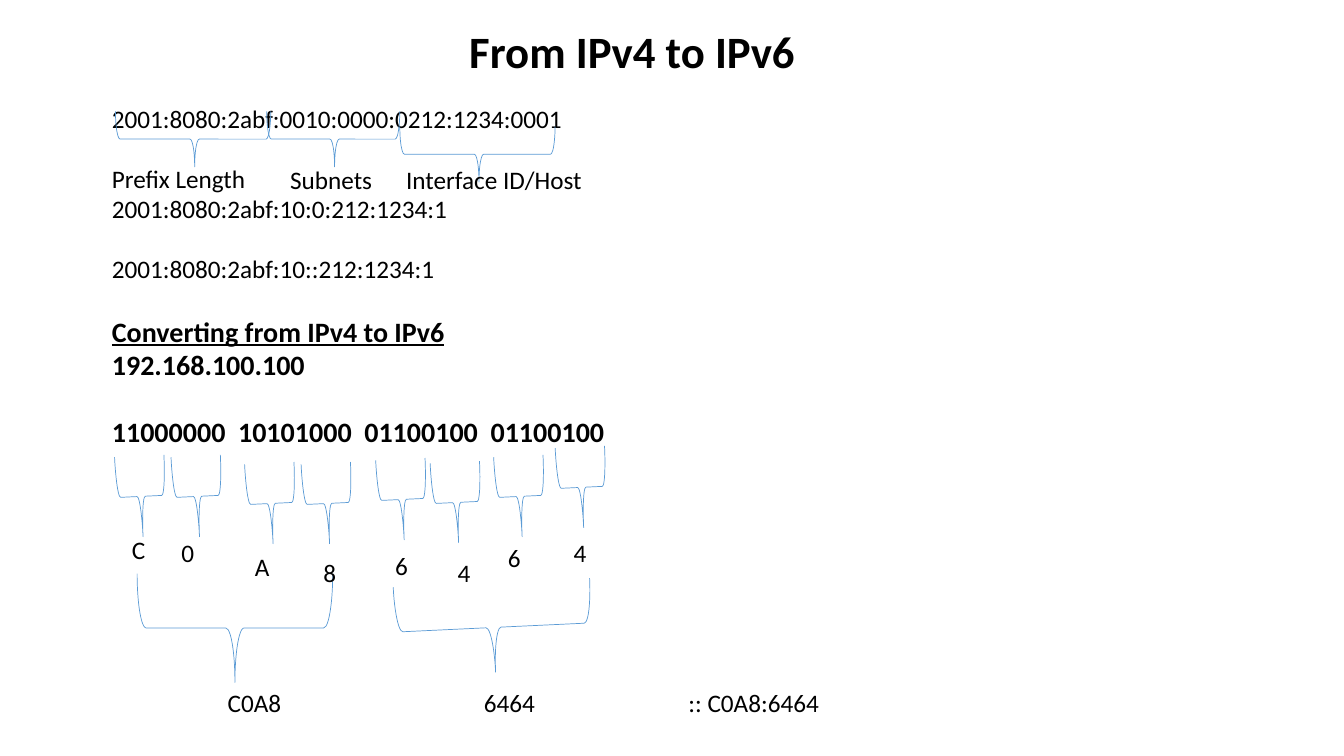
from pptx import Presentation
from pptx.dml.color import RGBColor
from pptx.enum.shapes import MSO_SHAPE as Shape
from pptx.enum.text import MSO_ANCHOR as Anchor, MSO_AUTO_SIZE as Fit, PP_ALIGN as Align
from pptx.oxml.ns import qn
from pptx.util import Inches, Pt
from lxml.etree import SubElement

BLACK = RGBColor(0, 0, 0)
BLUE = RGBColor(0x5B, 0x9B, 0xD5)

TITLE = "From IPv4 to IPv6"
PLAIN = {"size": Pt(18), "bold": False}
BOLD = {"size": Pt(20), "bold": True}
HEAD = {**BOLD, "underline": True}
# text, font, space before
LINES = [
    ("2001:8080:2abf:0010:0000:0212:1234:0001", PLAIN, 0),
    ("Prefix Length", PLAIN, 21.5),
    ("2001:8080:2abf:10:0:212:1234:1", PLAIN, 0),
    ("2001:8080:2abf:10::212:1234:1", PLAIN, 21.5),
    ("Converting from IPv4 to IPv6", HEAD, 21.5),
    ("192.168.100.100", BOLD, 0),
    ("11000000  10101000  01100100  01100100", BOLD, 24),
]
DIGITS = [("C", 1.21, 5.25), ("0", 1.7, 5.28), ("A", 2.43, 5.42), ("8", 3.11, 5.48),
          ("6", 3.82, 5.41), ("4", 4.44, 5.48), ("6", 4.94, 5.33), ("4", 5.59, 5.28)]
WORDS = [("Subnets", 2.78, 1.58, 1.1), ("Interface ID/Host", 3.93, 1.58, 2.1),
         ("C0A8", 2.16, 6.77, 0.8), ("6464", 4.7, 6.77, 0.8),
         (":: C0A8:6464", 6.73, 6.77, 1.6)]
NIBBLES = [(1, 4.68), (1.56, 4.68), (2.29, 4.75), (2.85, 4.75),
           (3.59, 4.71), (4.13, 4.74), (4.76, 4.68), (5.37, 4.59)]
PAIRS = [(1.79, 5.26, 1.08, 1.94, 90), (4.45, 5.25, 0.89, 1.95, 87.3)]
FIELDS = [(1.64, 0.61, 1.54), (3.03, 0.72, 1.32), (4.46, 0.76, 1.54)]


def place(shape, *box):
    """Move a shape to a box given in inches."""
    for name, value in zip(("left", "top", "width", "height"), box):
        setattr(shape, name, Inches(value))


def write(para, text, style):
    """Add a styled run to a paragraph."""
    run = para.add_run()
    run.text = text
    for name, value in {"name": "Calibri", **style}.items():
        setattr(run.font, name, value)
    run.font.color.rgb = BLACK


def setup(frame, anchor=Anchor.TOP):
    """Set wrapping, fit and anchor of a text frame."""
    for name, value in {"word_wrap": True, "auto_size": Fit.NONE,
                        "vertical_anchor": anchor}.items():
        setattr(frame, name, value)


def label(slide, text, left, top, width=0.44):
    """Add a one-line text box."""
    box = slide.shapes.add_textbox(*map(Inches, (left, top, width, 0.4)))
    setup(box.text_frame)
    write(box.text_frame.paragraphs[0], text, PLAIN)


def brace(slide, left, top, width, height, turn, middle=0.5):
    """Add a thin turned brace."""
    shape = slide.shapes.add_shape(
        Shape.RIGHT_BRACE, *map(Inches, (left, top, width, height)))
    shape.rotation = turn
    shape.adjustments[1] = middle
    shape.shadow.inherit = False
    shape.fill.background()
    shape.line.color.rgb = BLUE
    shape.line.width = Pt(0.5)


def fill_body(frame):
    """Write the address lines without bullets."""
    setup(frame)
    for i, (text, style, before) in enumerate(LINES):
        para = frame.add_paragraph() if i else frame.paragraphs[0]
        props = para._p.get_or_add_pPr()
        props.set("marL", "0")
        props.set("indent", "0")
        SubElement(props, qn("a:buNone"))
        para.space_before = Pt(before)
        para.line_spacing = 1.0
        write(para, text, style)


def main():
    """Build the slide and save it."""
    deck = Presentation()
    deck.slide_width, deck.slide_height = Inches(13.33), Inches(7.5)
    slide = deck.slides.add_slide(deck.slide_layouts[1])
    title, body = slide.placeholders
    place(title, 4.47, 0.18, 3.6, 0.64)
    setup(title.text_frame, Anchor.MIDDLE)
    para = title.text_frame.paragraphs[0]
    para.alignment = Align.CENTER
    write(para, TITLE, {"size": Pt(32), "bold": True})
    place(body, 1.01, 0.97, 5.3, 3.57)
    fill_body(body.text_frame)
    for left, top in NIBBLES:
        brace(slide, left, top, 0.8, 0.49, 87.3)
    for pair in PAIRS:
        brace(slide, *pair)
    for left, top, span in FIELDS:
        brace(slide, left, top, 0.55, span, 90, 0.49)
    for item in DIGITS + WORDS:
        label(slide, *item)
    deck.save("out.pptx")


if __name__ == "__main__":
    main()
